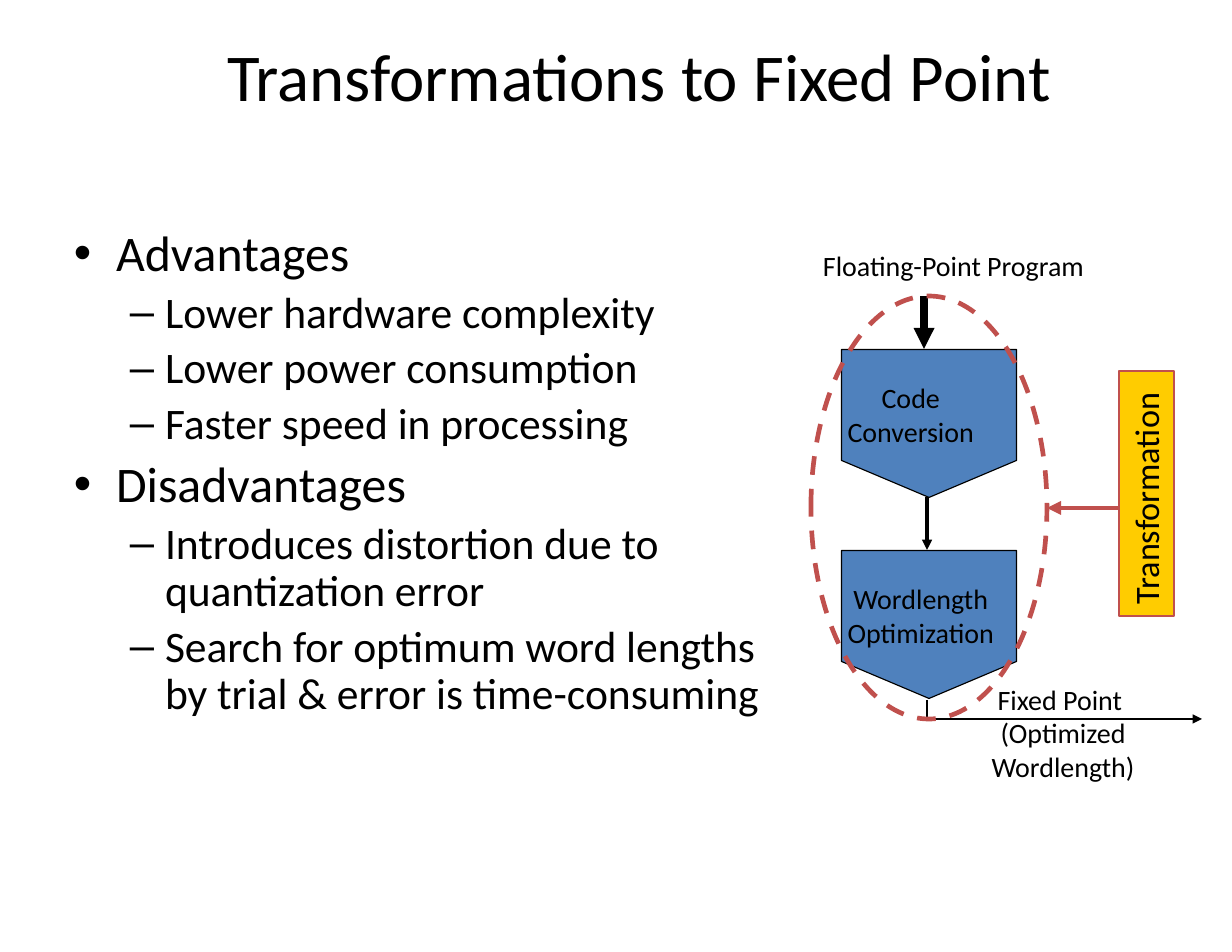
"""Builds the slide on transformations to fixed point."""
from dataclasses import dataclass

from lxml import etree
from pptx import Presentation
from pptx.dml.color import RGBColor
from pptx.enum.dml import MSO_LINE
from pptx.enum.shapes import MSO_CONNECTOR, MSO_SHAPE
from pptx.enum.text import MSO_ANCHOR, MSO_AUTO_SIZE, PP_ALIGN
from pptx.oxml.ns import qn
from pptx.util import Emu, Pt

PX = 914400 / 112
LEFT, CENTER = PP_ALIGN.LEFT, PP_ALIGN.CENTER
TOP, MIDDLE = MSO_ANCHOR.TOP, MSO_ANCHOR.MIDDLE
NO_AUTO_SIZE = MSO_AUTO_SIZE.NONE
STRAIGHT = MSO_CONNECTOR.STRAIGHT
PENTAGON, OVAL, RECTANGLE = MSO_SHAPE.PENTAGON, MSO_SHAPE.OVAL, MSO_SHAPE.RECTANGLE
DASH = MSO_LINE.DASH
TITLE_ONLY = 5


@dataclass(frozen=True)
class Theme:
    """Colours, font and type sizes of the slide."""
    font: str = "Calibri"
    ink: str = "000000"
    step: str = "4F81BD"
    accent: str = "C0504D"
    highlight: str = "FFCC00"
    title: int = 43
    topic: int = 32
    point: int = 28
    caption: int = 22
    label: int = 18


THEME = Theme()


def px(length):
    """Turn pixels into EMU."""
    return Emu(round(length * PX))


def set_bullet(paragraph, character, margin, hanging):
    """Give a paragraph a bullet with a hanging indent."""
    properties = paragraph._p.get_or_add_pPr()
    properties.set("marL", str(px(margin)))
    properties.set("indent", str(-px(hanging)))
    etree.SubElement(properties, qn("a:buFont")).set("typeface", "Arial")
    etree.SubElement(properties, qn("a:buChar")).set("char", character)


def write_text(frame, text, size=THEME.label, align=LEFT, spacing=None, before=0, bullet=None):
    """Add one paragraph, with a line break at each newline."""
    paragraph = frame.paragraphs[-1]
    if paragraph.runs:
        paragraph = frame.add_paragraph()
        paragraph.space_before = Pt(before)
    if spacing:
        paragraph.line_spacing = spacing
    paragraph.alignment = align
    if bullet:
        set_bullet(paragraph, *bullet)
    for index, line in enumerate(text.split("\n")):
        if index:
            paragraph.add_line_break()
        run = paragraph.add_run()
        run.text = line
        run.font.name = THEME.font
        run.font.size = Pt(size)
        run.font.color.rgb = RGBColor.from_string(THEME.ink)


class SlideBuilder:
    """Draws elements on one slide in one theme."""

    def __init__(self, slide, theme):
        """Keep the slide and its theme."""
        self.slide = slide
        self.theme = theme

    def prepare(self, frame, anchor=TOP, wrap=True):
        """Set the margins, anchor and wrapping of a text frame."""
        frame.auto_size = NO_AUTO_SIZE
        frame.word_wrap = wrap
        frame.vertical_anchor = anchor
        frame.margin_left = frame.margin_right = px(12)
        frame.margin_top = frame.margin_bottom = px(6)
        return frame

    def title(self, text, left, top, width, height):
        """Place and fill the title placeholder."""
        shape = self.slide.shapes.title
        shape.left, shape.top, shape.width, shape.height = map(px, (left, top, width, height))
        write_text(self.prepare(shape.text_frame), text, size=self.theme.title,
                   align=CENTER, spacing=0.9)

    def text_box(self, left, top, width, height, wrap=True):
        """Add an empty text box and return its frame."""
        shape = self.slide.shapes.add_textbox(*map(px, (left, top, width, height)))
        return self.prepare(shape.text_frame, wrap=wrap)

    def outline(self, topics, left, top, width, height):
        """Add a two-level bullet list."""
        frame = self.text_box(left, top, width, height)
        for topic, points in topics.items():
            size = self.theme.topic
            write_text(frame, topic, size=size, spacing=0.9, before=size * 0.2,
                       bullet=("•", 42, 42))
            size = self.theme.point
            for point in points:
                write_text(frame, point, size=size, spacing=0.9, before=size * 0.2,
                           bullet=("–", 91, 35))

    def label(self, lines, left, top, width, height, align=LEFT, wrap=True):
        """Add a label of one or more paragraphs."""
        frame = self.text_box(left, top, width, height, wrap)
        for line in lines:
            write_text(frame, line, align=align)

    def shape(self, kind, left, top, width, height, fill=None, line=THEME.ink,
              weight=0.75, dash=None, rotation=0):
        """Add a preset shape."""
        shape = self.slide.shapes.add_shape(kind, *map(px, (left, top, width, height)))
        shape.shadow.inherit = False
        shape.rotation = rotation
        if fill:
            shape.fill.solid()
            shape.fill.fore_color.rgb = RGBColor.from_string(fill)
        else:
            shape.fill.background()
        shape.line.color.rgb = RGBColor.from_string(line)
        shape.line.width = Pt(weight)
        if dash:
            shape.line.dash_style = dash
        return shape

    def step(self, lines, left, top, width, height):
        """Add a process step that points down and holds upright text."""
        shape = self.shape(PENTAGON, left, top, width, height, fill=self.theme.step, rotation=90)
        shape.adjustments[0] = 0.25
        frame = self.prepare(shape.text_frame, anchor=MIDDLE, wrap=False)
        properties = frame._txBody.bodyPr
        properties.set("rot", "10800000")
        properties.set("vert", "eaVert")
        for line in lines:
            write_text(frame, line, align=CENTER)

    def banner(self, text, left, top, width, height):
        """Add a box whose text reads upwards."""
        shape = self.shape(RECTANGLE, left, top, width, height, fill=self.theme.highlight,
                           line=self.theme.accent, rotation=270)
        write_text(self.prepare(shape.text_frame, wrap=False), text, size=self.theme.caption)

    def line(self, start, end, weight=0.75, color=THEME.ink, arrow=True):
        """Add a straight line, with an arrowhead at its end if wanted."""
        connector = self.slide.shapes.add_connector(STRAIGHT, *map(px, start + end))
        connector.line.color.rgb = RGBColor.from_string(color)
        connector.line.width = Pt(weight)
        if arrow:
            outline = connector.line._get_or_add_ln()
            etree.SubElement(outline, qn("a:tailEnd")).set("type", "triangle")
        etree.SubElement(connector._element.spPr, qn("a:effectLst"))


def main():
    """Build and save the presentation."""
    presentation = Presentation()
    presentation.slide_width, presentation.slide_height = px(1232), px(952)
    slide = presentation.slides.add_slide(presentation.slide_layouts[TITLE_ONLY])
    builder = SlideBuilder(slide, THEME)

    builder.title("Transformations to Fixed Point ", 123, 38, 1047, 159)
    builder.outline({
        "Advantages": ["Lower hardware complexity", "Lower power consumption",
                       "Faster speed in processing"],
        "Disadvantages": ["Introduces distortion due to\nquantization error",
                          "Search for optimum word lengths\nby trial & error is time-consuming"],
    }, 62, 222, 883, 698)

    steps = [("Code", "Conversion"), ("Wordlength", "Optimization")]
    for index, lines in enumerate(steps):
        builder.step(lines, 855, 336 + 201 * index, 148, 175)

    builder.line((924, 296), (924, 349), weight=4.5)
    builder.line((927, 497), (927, 550), weight=2.25)
    builder.line((927, 719), (1202, 719))
    builder.line((927, 700), (927, 720), arrow=False)
    builder.label(["Floating-Point Program"], 811, 243, 289, 47, wrap=False)
    builder.label(["Fixed Point ", "(Optimized Wordlength)"], 918, 676, 290, 114, align=CENTER)
    builder.shape(OVAL, 811, 296, 236, 423, line=THEME.accent, weight=3, dash=DASH)
    builder.banner("Transformation", 1024, 466, 245, 55)
    builder.line((1119, 508), (1047, 508), weight=3, color=THEME.accent)
    presentation.save("out.pptx")


if __name__ == "__main__":
    main()
